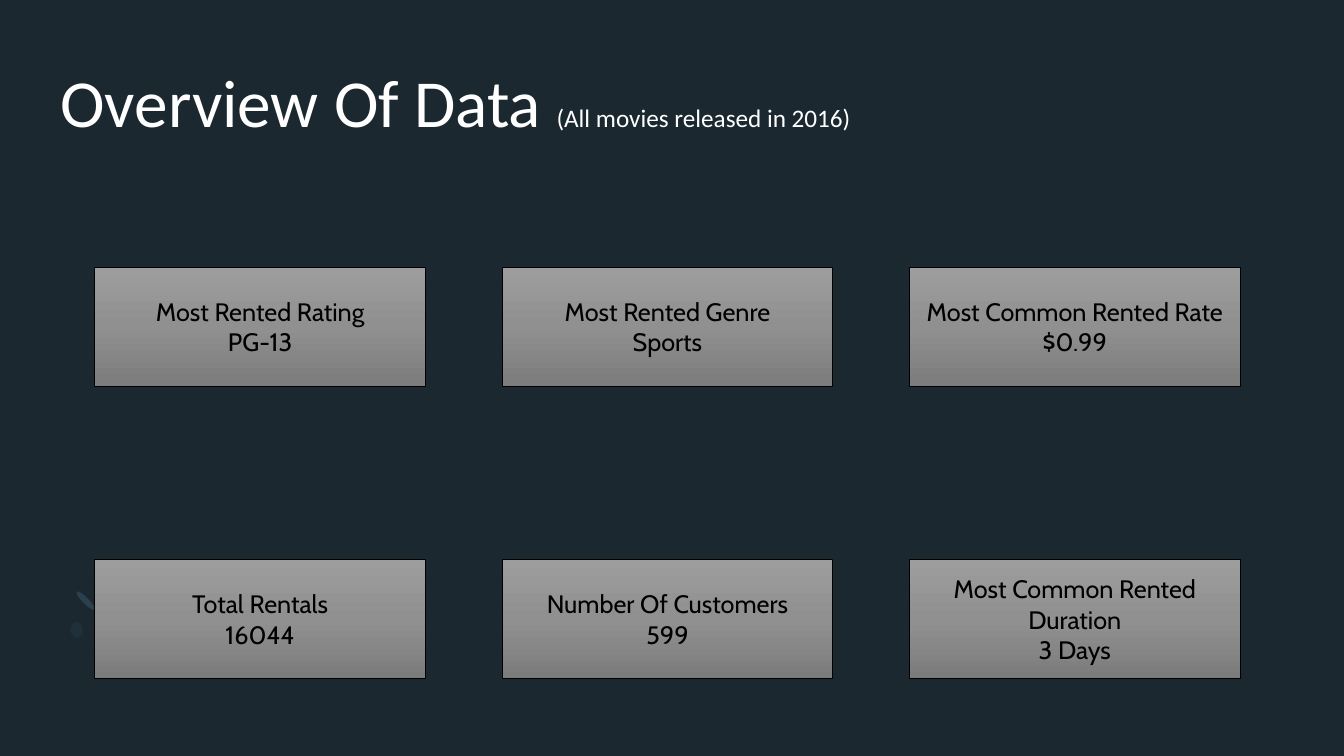
from copy import deepcopy
from dataclasses import dataclass

from pptx import Presentation
from pptx.dml.color import RGBColor
from pptx.enum.shapes import MSO_SHAPE
from pptx.enum.text import MSO_ANCHOR, PP_ALIGN
from pptx.oxml.ns import qn
from pptx.util import Inches, Pt

RECTANGLE, OVAL = MSO_SHAPE.RECTANGLE, MSO_SHAPE.OVAL
CENTER, MIDDLE, TOP = PP_ALIGN.CENTER, MSO_ANCHOR.MIDDLE, MSO_ANCHOR.TOP

COLORS = {
    "background": "1B2830",
    "title": "FFFFFF",
    "card_top": "9D9D9D",
    "card_middle": "909090",
    "card_bottom": "7C7C7C",
    "ink": "000000",
    "stroke": "2B3F4C",
    "glow": "1F303A",
}
CARD_GRADIENT = [(0, "card_top"), (0.5, "card_middle"), (1, "card_bottom")]

CARD_LEFT, CARD_TOP = 0.94, 2.65
CARD_WIDTH, CARD_HEIGHT = 3.28, 1.18
COLUMN_STEP, ROW_STEP = 4.04, 2.9
COLUMNS = 3


@dataclass
class Metric:
    """A headline figure and its label."""
    label: str
    value: str


@dataclass
class Accent:
    """A small decorative ellipse, measured in inches."""
    left: float
    top: float
    width: float
    height: float
    rotation: float
    color: str


METRICS = [
    Metric("Most Rented Rating", "PG-13"),
    Metric("Most Rented Genre", "Sports"),
    Metric("Most Common Rented Rate", "$0.99"),
    Metric("Total Rentals", "16044"),
    Metric("Number Of Customers", "599"),
    Metric("Most Common Rented Duration", "3 Days"),
]
ACCENTS = [
    Accent(0.82, 5.83, 0.06, 0.26, 135, "stroke"),
    Accent(0.7, 6.17, 0.12, 0.16, 0, "glow"),
]


def color(name: str) -> RGBColor:
    """Look up a named colour."""
    return RGBColor.from_string(COLORS[name])


def add_accent(slide, accent: Accent) -> None:
    """Draw one decorative ellipse."""
    shape = slide.shapes.add_shape(
        OVAL, Inches(accent.left), Inches(accent.top),
        Inches(accent.width), Inches(accent.height))
    shape.shadow.inherit = False
    shape.rotation = accent.rotation
    shape.fill.solid()
    shape.fill.fore_color.rgb = color(accent.color)
    shape.line.fill.background()


def fill_card(shape) -> None:
    """Give a card its three-stop vertical gradient."""
    shape.fill.gradient()
    shape.fill.gradient_angle = 270
    stop_list = shape._element.spPr.find(".//" + qn("a:gsLst"))
    stop_list.append(deepcopy(stop_list[-1]))
    for stop, (position, name) in zip(shape.fill.gradient_stops, CARD_GRADIENT):
        stop.position = position
        stop.color.rgb = color(name)


def add_card(slide, index: int, metric: Metric) -> None:
    """Place a metric card in the grid."""
    row, column = divmod(index, COLUMNS)
    shape = slide.shapes.add_shape(
        RECTANGLE, Inches(CARD_LEFT + column * COLUMN_STEP),
        Inches(CARD_TOP + row * ROW_STEP), Inches(CARD_WIDTH), Inches(CARD_HEIGHT))
    shape.shadow.inherit = False
    fill_card(shape)
    shape.line.color.rgb = color("ink")
    shape.line.width = Pt(0.5)
    frame = shape.text_frame
    frame.vertical_anchor = MIDDLE
    frame.text = f"{metric.label}\n{metric.value}"
    for paragraph in frame.paragraphs:
        paragraph.alignment = CENTER
        paragraph.font.name = "Cabin"
        paragraph.font.size = Pt(18)
        paragraph.font.color.rgb = color("ink")


def add_title(slide) -> None:
    """Write the title with its smaller qualifier."""
    frame = slide.shapes.add_textbox(
        Inches(0.6), Inches(0.6), Inches(12.13), Inches(1.46)).text_frame
    frame.word_wrap = True
    frame.vertical_anchor = TOP
    frame.margin_left = frame.margin_right = Inches(0)
    frame.margin_top = frame.margin_bottom = Inches(0)
    paragraph = frame.paragraphs[0]
    paragraph.font.name = "Calibri"
    paragraph.font.color.rgb = color("title")
    for text, size in [("Overview Of Data ", 48),
                       ("(All movies released in 2016)", 18)]:
        run = paragraph.add_run()
        run.text = text
        run.font.size = Pt(size)


def main() -> None:
    """Build and save the slide."""
    presentation = Presentation()
    presentation.slide_width = Inches(13.33)
    presentation.slide_height = Inches(7.5)
    slide = presentation.slides.add_slide(presentation.slide_layouts[6])
    slide.background.fill.solid()
    slide.background.fill.fore_color.rgb = color("background")
    for accent in ACCENTS:
        add_accent(slide, accent)
    add_title(slide)
    for index, metric in enumerate(METRICS):
        add_card(slide, index, metric)
    presentation.save("out.pptx")


main()
